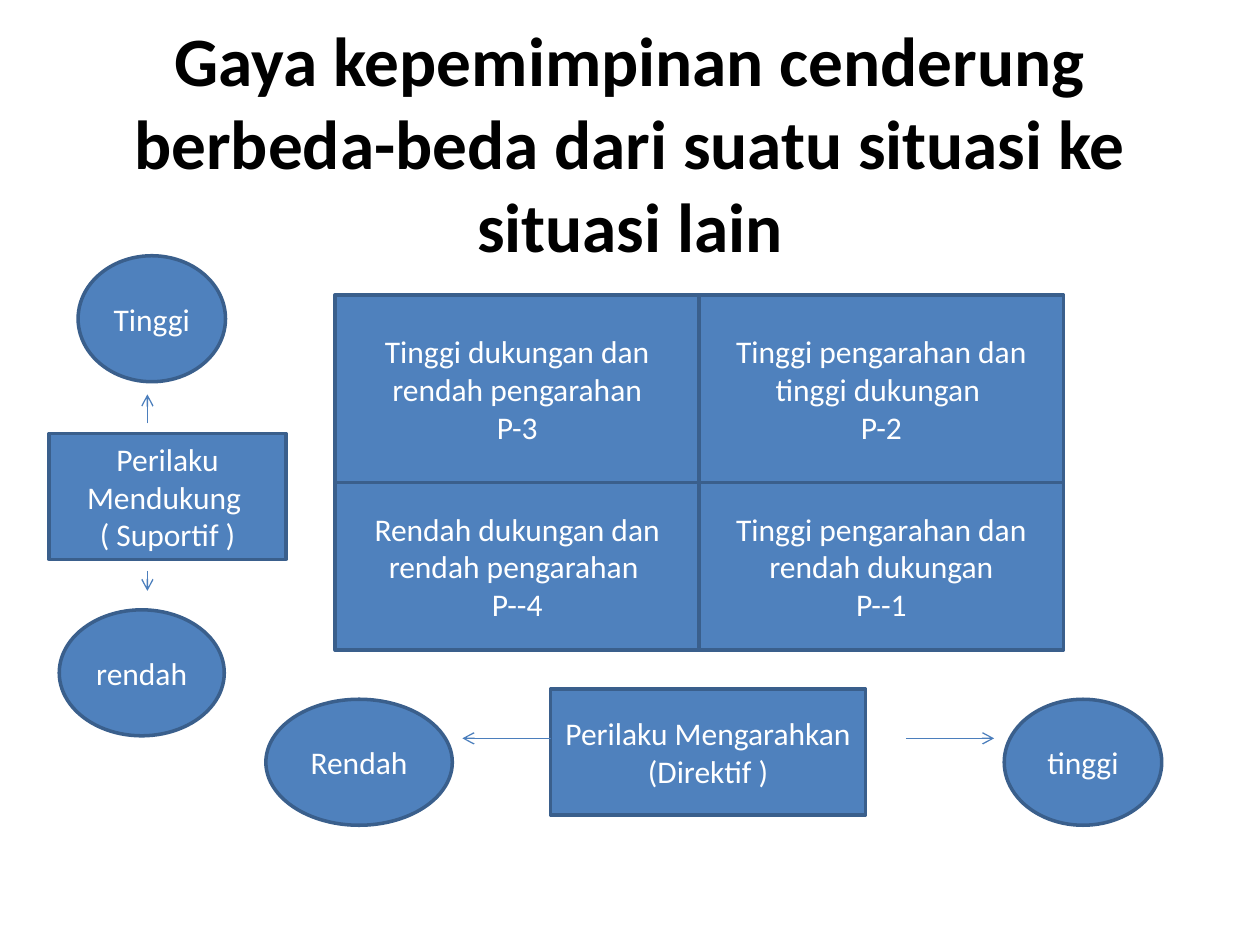
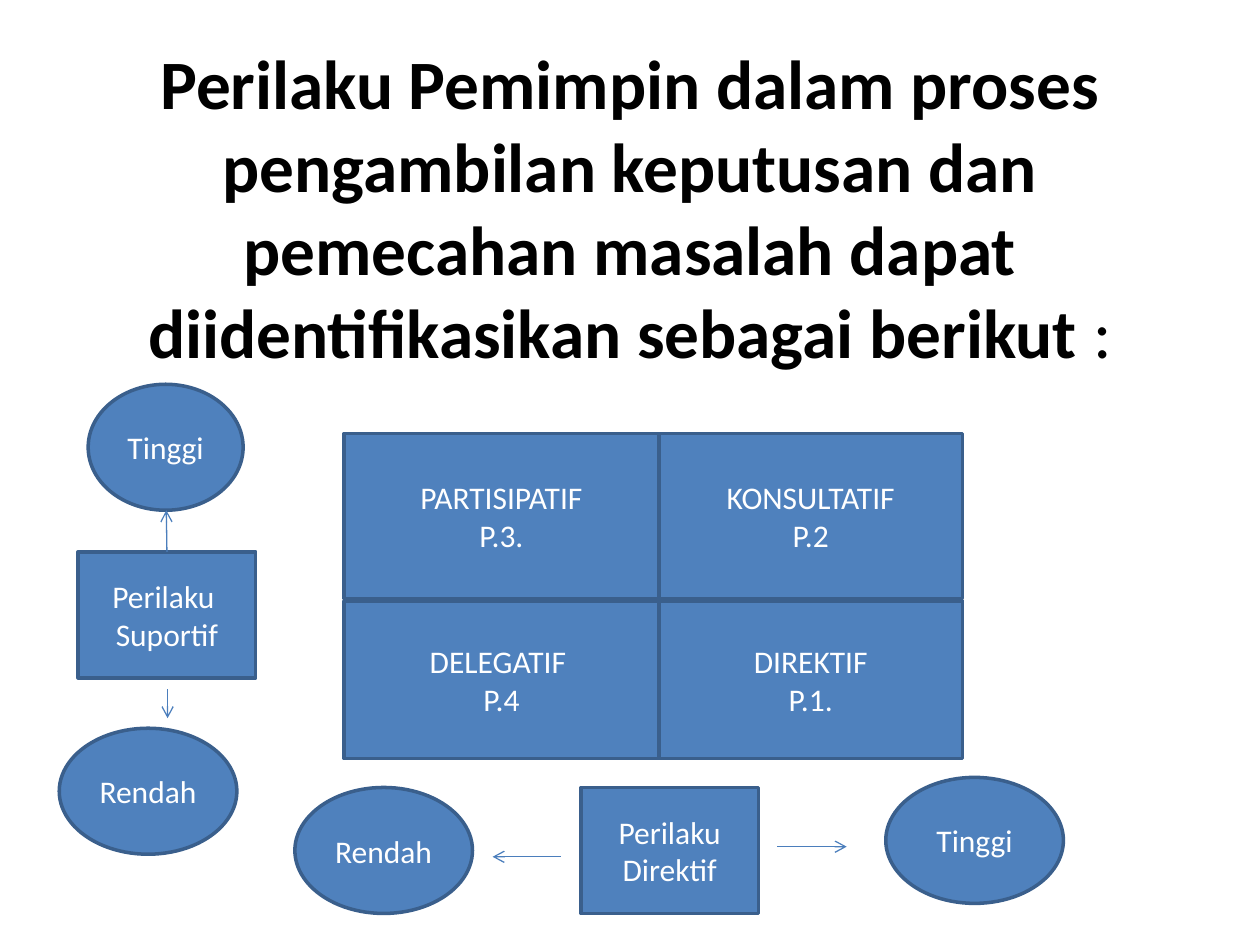
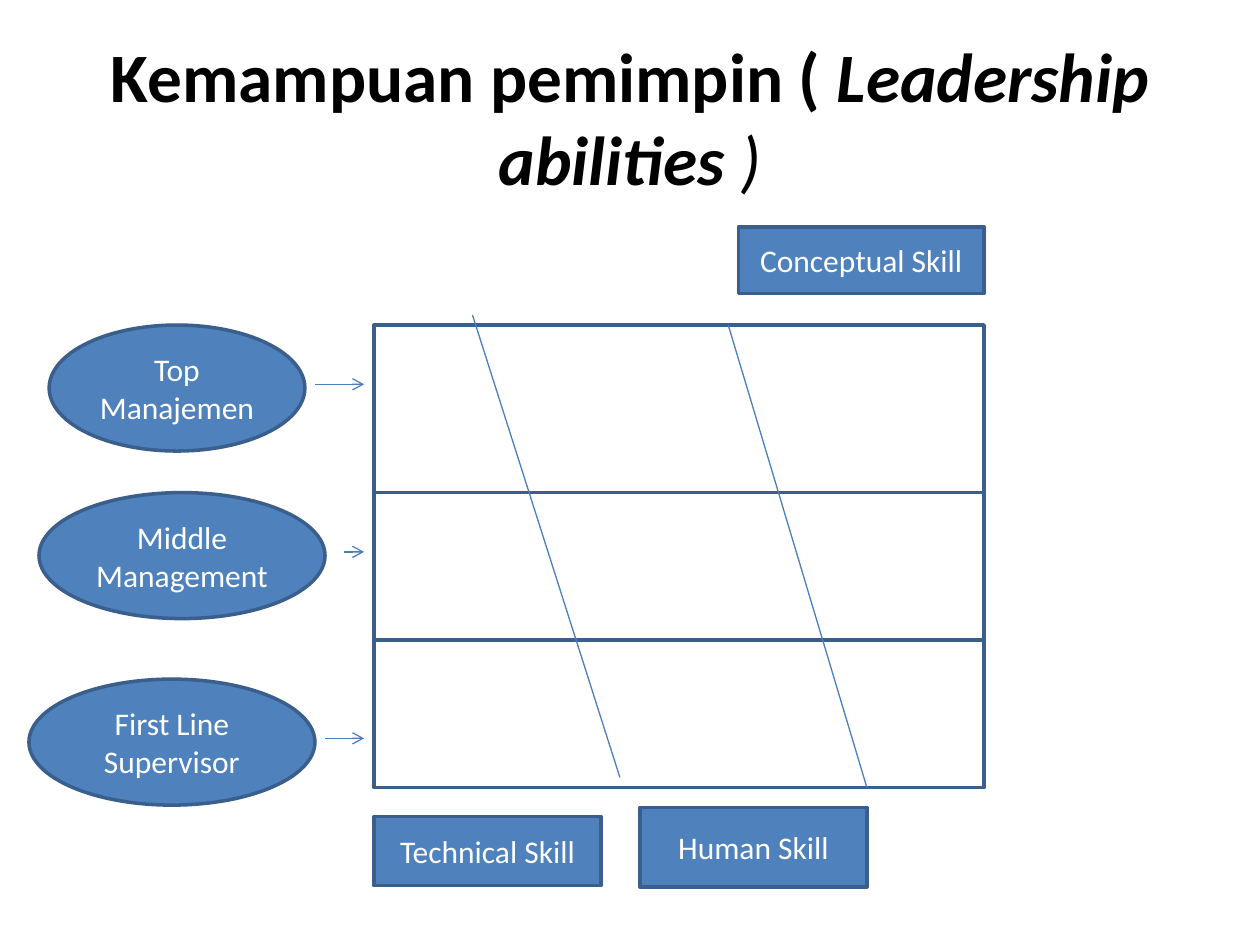
import pptx
import pptx.util
import pptx.dml.color
import pptx.enum.shapes
import pptx.enum.text
import pptx.oxml.ns
import lxml.etree

RGBColor = pptx.dml.color.RGBColor
BLUE = RGBColor(0x4F, 0x81, 0xBD)
BORDER = RGBColor(0x3A, 0x5F, 0x8C)
ARROW = RGBColor(0x4B, 0x7E, 0xBC)
WHITE = RGBColor(0xFF, 0xFF, 0xFF)
BLACK = RGBColor(0x00, 0x00, 0x00)
FONT = "Calibri"
PX_PER_INCH = 100
RECTANGLE = pptx.enum.shapes.MSO_SHAPE.RECTANGLE
OVAL = pptx.enum.shapes.MSO_SHAPE.OVAL
CENTER = pptx.enum.text.PP_ALIGN.CENTER
MIDDLE = pptx.enum.text.MSO_ANCHOR.MIDDLE


def px(length):
    return pptx.util.Emu(length * 914400 // PX_PER_INCH)


class Deck:
    def __init__(self):
        self.presentation = pptx.Presentation()
        self.presentation.slide_width = px(1000)
        self.presentation.slide_height = px(750)
        self.slide = None

    def add_slide(self, title_height, *title_parts):
        layout = self.presentation.slide_layouts[5]
        self.slide = self.presentation.slides.add_slide(layout)
        title = self.slide.shapes.title
        title.left, title.top = px(50), px(30)
        title.width, title.height = px(900), px(title_height)
        frame = title.text_frame
        frame.word_wrap = True
        frame.auto_size = pptx.enum.text.MSO_AUTO_SIZE.NONE
        frame.vertical_anchor = MIDDLE
        paragraph = frame.paragraphs[0]
        paragraph.alignment = CENTER
        for text, bold, italic in title_parts:
            run = paragraph.add_run()
            run.text = text
            self.style_run(run, 39.6, BLACK)
            run.font.bold = bold
            run.font.italic = italic

    def style_run(self, run, size, color):
        run.font.name = FONT
        run.font.size = pptx.util.Pt(size)
        run.font.color.rgb = color

    def box(self, left, top, width, height, text="", kind=RECTANGLE):
        shape = self.slide.shapes.add_shape(
            kind, px(left), px(top), px(width), px(height))
        shape.shadow.inherit = False
        shape.line.color.rgb = BORDER
        shape.line.width = pptx.util.Pt(2)
        if not text:
            shape.fill.background()
            return shape
        shape.fill.solid()
        shape.fill.fore_color.rgb = BLUE
        frame = shape.text_frame
        frame.word_wrap = True
        frame.vertical_anchor = MIDDLE
        frame.text = text
        for paragraph in frame.paragraphs:
            paragraph.alignment = CENTER
            for run in paragraph.runs:
                self.style_run(run, 18, WHITE)
        return shape

    def oval(self, left, top, width, text):
        return self.box(left, top, width, 100, text, OVAL)

    def grid(self, left, top, widths, heights, rows, gap=0):
        for height, texts in zip(heights, rows):
            cell_left = left
            for width, text in zip(widths, texts):
                self.box(cell_left, top, width, height, text)
                cell_left += width
            top += height + gap

    def line(self, x1, y1, x2, y2):
        connector = self.slide.shapes.add_connector(
            pptx.enum.shapes.MSO_CONNECTOR.STRAIGHT,
            px(x1), px(y1), px(x2), px(y2))
        connector.line.color.rgb = ARROW
        connector.line.width = pptx.util.Pt(0.75)
        qn = pptx.oxml.ns.qn
        properties = connector._element.find(qn("p:spPr"))
        lxml.etree.SubElement(properties, qn("a:effectLst"))
        return connector

    def arrow(self, x1, y1, x2, y2):
        connector = self.line(x1, y1, x2, y2)
        outline = connector.line._get_or_add_ln()
        lxml.etree.SubElement(outline, pptx.oxml.ns.qn("a:tailEnd"), type="arrow")
        return connector


def build_situations(deck):
    deck.add_slide(165, (
        "Gaya kepemimpinan cenderung berbeda-beda dari suatu situasi ke situasi lain",
        True, False))
    deck.grid(266, 234, [289, 289], [149, 133], [
        ["Tinggi dukungan dan rendah pengarahan\nP-3",
         "Tinggi pengarahan dan tinggi dukungan \nP-2"],
        ["Rendah dukungan dan rendah pengarahan \nP--4",
         "Tinggi pengarahan dan rendah dukungan\nP--1"],
    ])
    deck.box(437, 547, 250, 100, "Perilaku Mengarahkan\n(Direktif )")
    deck.oval(797, 555, 125, "tinggi")
    deck.oval(211, 555, 148, "Rendah")
    deck.arrow(719, 586, 789, 586)
    deck.arrow(437, 586, 367, 586)
    deck.box(39, 344, 188, 100, "Perilaku Mendukung \n( Suportif )")
    deck.oval(62, 203, 117, "Tinggi")
    deck.oval(47, 484, 131, "rendah")
    deck.arrow(117, 336, 117, 313)
    deck.arrow(117, 453, 117, 469)


def build_decision_styles(deck):
    deck.add_slide(
        267,
        ("Perilaku Pemimpin dalam proses pengambilan keputusan dan pemecahan "
         "masalah dapat diidentifikasikan sebagai berikut ", True, False),
        (":", False, False))
    deck.grid(273, 344, [250, 241], [131, 125], [
        ["PARTISIPATIF\nP.3.", "KONSULTATIF\nP.2"],
        ["DELEGATIF \nP.4", "DIREKTIF\nP.1."],
    ], gap=2)
    supportive = deck.box(62, 438, 141, 100, "Perilaku \nSuportif")
    deck.oval(70, 305, 123, "Tinggi")
    deck.oval(47, 578, 141, "Rendah")
    deck.box(461, 625, 141, 100, "Perilaku Direktif")
    deck.oval(234, 625, 141, "Rendah")
    deck.oval(703, 617, 141, "Tinggi")
    deck.arrow(133, 438, 132, 405).begin_connect(supportive, 0)
    deck.arrow(133, 547, 133, 570)
    deck.arrow(445, 680, 391, 680)
    deck.arrow(617, 672, 672, 672)


def build_abilities(deck):
    deck.add_slide(
        125,
        ("Kemampuan pemimpin ( ", True, False),
        ("Leadership abilities ", True, True),
        (")", False, True))
    deck.grid(297, 258, [484], [133, 117, 117], [[""]] * 3)
    deck.line(375, 250, 492, 617)
    deck.line(578, 258, 688, 625)
    deck.box(508, 641, 180, 63, "Human Skill")
    deck.box(586, 180, 195, 53, "Conceptual Skill")
    deck.box(297, 648, 180, 55, "Technical Skill")
    levels = [
        ("Top Manajemen", 39, 258, 203, 250, 305),
        ("Middle Management", 31, 391, 227, 273, 438),
        ("First Line Supervisor", 23, 539, 227, 258, 586),
    ]
    for level, left, top, width, arrow_start, arrow_y in levels:
        deck.oval(left, top, width, level)
        deck.arrow(arrow_start, arrow_y, 289, arrow_y)


def main():
    deck = Deck()
    build_situations(deck)
    build_decision_styles(deck)
    build_abilities(deck)
    deck.presentation.save("out.pptx")


if __name__ == "__main__":
    main()
